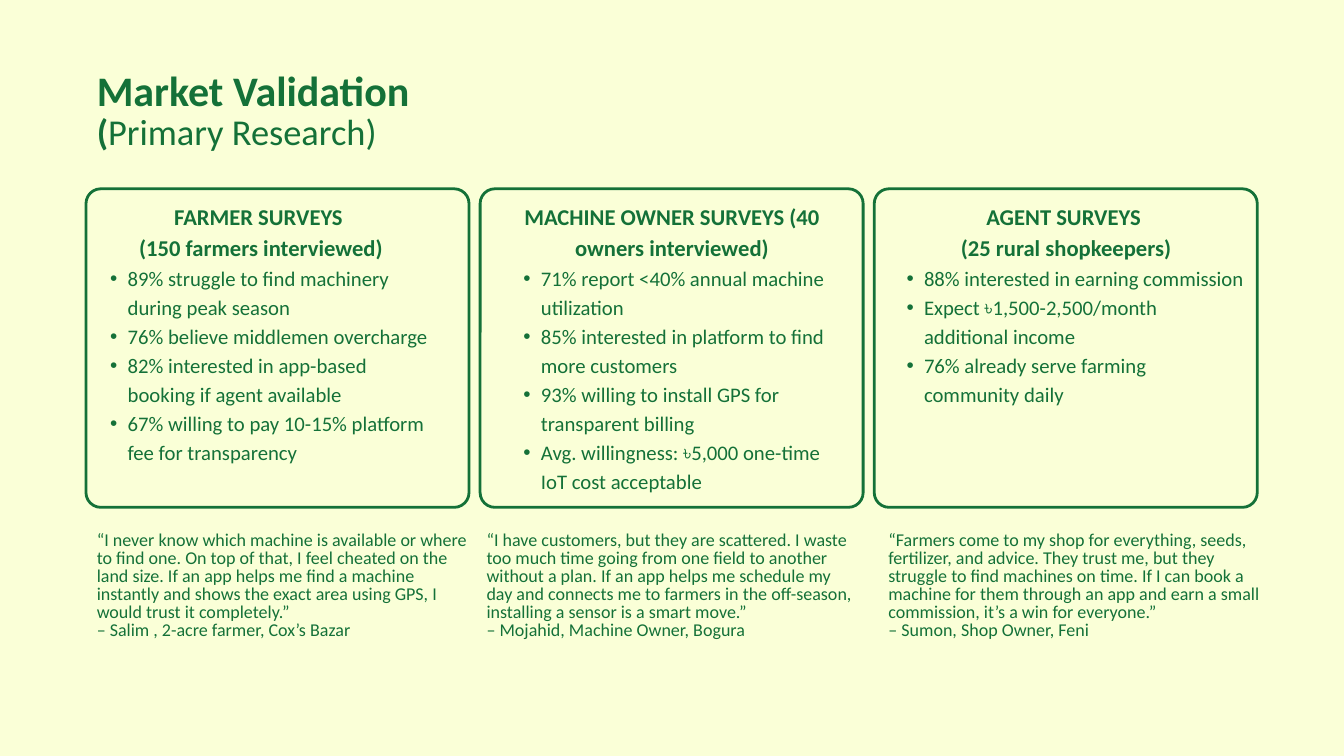
from dataclasses import dataclass

from lxml.etree import SubElement
from pptx import Presentation
from pptx.dml.color import RGBColor
from pptx.enum.shapes import MSO_SHAPE
from pptx.enum.text import PP_ALIGN
from pptx.oxml.ns import qn
from pptx.util import Inches, Pt


@dataclass(frozen=True)
class Theme:
    font: str = "Calibri"
    green: RGBColor = RGBColor(0x14, 0x71, 0x38)
    cream: RGBColor = RGBColor(0xFA, 0xFF, 0xD7)
    title: float = 45
    subtitle: float = 39
    heading: float = 24.2
    bullet: float = 22.2
    quote: float = 19.3
    title_leading: float = 47.2
    subtitle_leading: float = 40.9
    heading_leading: float = 33.9
    bullet_leading: float = 31.1
    outline: float = 3


THEME = Theme()

CARD_LEFT, CARD_TOP, CARD_WIDTH, CARD_HEIGHT = 1.28, 2.81, 5.7, 4.74
CARD_PITCH = 5.865
CORNER_RADIUS = 0.22

# Each survey: (left, width) of its text, headings, findings, quote left, quote
SURVEYS = [
    ((1.37, 5.03),
     ["FARMER SURVEYS ", "(150 farmers interviewed)"],
     ["89% struggle to find machinery during peak season",
      "76% believe middlemen overcharge",
      "82% interested in app-based booking if agent available",
      "67% willing to pay 10-15% platform fee for transparency"],
     1.44,
     ["“I never know which machine is available or where to find one. On top of that, "
      "I feel cheated on the land size. If an app helps me find a machine instantly and "
      "shows the exact area using GPS, I would trust it completely.”",
      "– Salim , 2-acre farmer, Cox’s Bazar"]),
    ((7.52, 4.96),
     ["MACHINE OWNER SURVEYS (40 owners interviewed)"],
     ["71% report <40% annual machine utilization",
      "85% interested in platform to find more customers",
      "93% willing to install GPS for transparent billing",
      "Avg. willingness: ৳5,000 one-time IoT cost acceptable"],
     7.24,
     ["“I have customers, but they are scattered. I waste too much time going from one "
      "field to another without a plan. If an app helps me schedule my day and connects "
      "me to farmers in the off-season, installing a sensor is a smart move.”",
      "– Mojahid, Machine Owner, Bogura"]),
    ((13.22, 5.29),
     ["AGENT SURVEYS ", "(25 rural shopkeepers)"],
     ["88% interested in earning commission",
      "Expect ৳1,500-2,500/month additional income",
      "76% already serve farming community daily"],
     13.22,
     ["“Farmers come to my shop for everything, seeds, fertilizer, and advice. They trust "
      "me, but they struggle to find machines on time. If I can book a machine for them "
      "through an app and earn a small commission, it’s a win for everyone.”",
      "– Sumon, Shop Owner, Feni"]),
]


def add_text_frame(page, left, top, width, height):
    frame = page.shapes.add_textbox(
        Inches(left), Inches(top), Inches(width), Inches(height)).text_frame
    frame.word_wrap = True
    frame.margin_left = frame.margin_top = frame.margin_right = frame.margin_bottom = 0
    return frame


def add_para(frame, leading, align=PP_ALIGN.LEFT):
    """Return the frame's first paragraph while it is empty, else a new one."""
    first = frame.paragraphs[0]
    para = frame.add_paragraph() if first.runs else first
    para.line_spacing = Pt(leading)
    para.alignment = align
    return para


def add_span(para, text, size, bold=False):
    span = para.add_run()
    span.text = text
    span.font.name = THEME.font
    span.font.size = Pt(size)
    span.font.bold = bold
    span.font.color.rgb = THEME.green


def set_bullet(para):
    para.level = 1
    properties = para._p.get_or_add_pPr()
    properties.set("marL", str(Inches(0.53)))
    properties.set("indent", str(Inches(-0.26)))
    SubElement(properties, qn("a:buFont"), typeface="Arial")
    SubElement(properties, qn("a:buChar"), char="•")


def add_title(page):
    frame = add_text_frame(page, 1.44, 1.05, 11.15, 1.37)
    add_span(add_para(frame, THEME.title_leading), "Market Validation", THEME.title, bold=True)
    para = add_para(frame, THEME.subtitle_leading)
    add_span(para, "(", THEME.subtitle, bold=True)
    add_span(para, "Primary Research)", THEME.subtitle)


def add_card(page, left):
    card = page.shapes.add_shape(
        MSO_SHAPE.ROUNDED_RECTANGLE,
        Inches(left), Inches(CARD_TOP), Inches(CARD_WIDTH), Inches(CARD_HEIGHT))
    card.adjustments[0] = CORNER_RADIUS / CARD_HEIGHT
    card.shadow.inherit = False
    card.fill.background()
    card.line.color.rgb = THEME.green
    card.line.width = Pt(THEME.outline)


def add_findings(page, left, width, headings, findings):
    frame = add_text_frame(page, left, 2.95, width, 4.36)
    for heading in headings:
        para = add_para(frame, THEME.heading_leading, PP_ALIGN.CENTER)
        add_span(para, heading, THEME.heading, bold=True)
    for finding in findings:
        para = add_para(frame, THEME.bullet_leading)
        set_bullet(para)
        add_span(para, finding, THEME.bullet)


def add_quote(page, left, lines):
    frame = add_text_frame(page, left, 7.92, 5.54, 1.93)
    for line in lines:
        add_span(add_para(frame, THEME.quote), line, THEME.quote)


def main():
    deck = Presentation()
    deck.slide_width, deck.slide_height = Inches(20), Inches(11.25)
    page = deck.slides.add_slide(deck.slide_layouts[6])
    page.background.fill.solid()
    page.background.fill.fore_color.rgb = THEME.cream

    add_title(page)
    for column, (span, headings, findings, quote_left, quote) in enumerate(SURVEYS):
        add_findings(page, *span, headings, findings)
        add_card(page, CARD_LEFT + column * CARD_PITCH)
        add_quote(page, quote_left, quote)
    deck.save("out.pptx")


if __name__ == "__main__":
    main()
